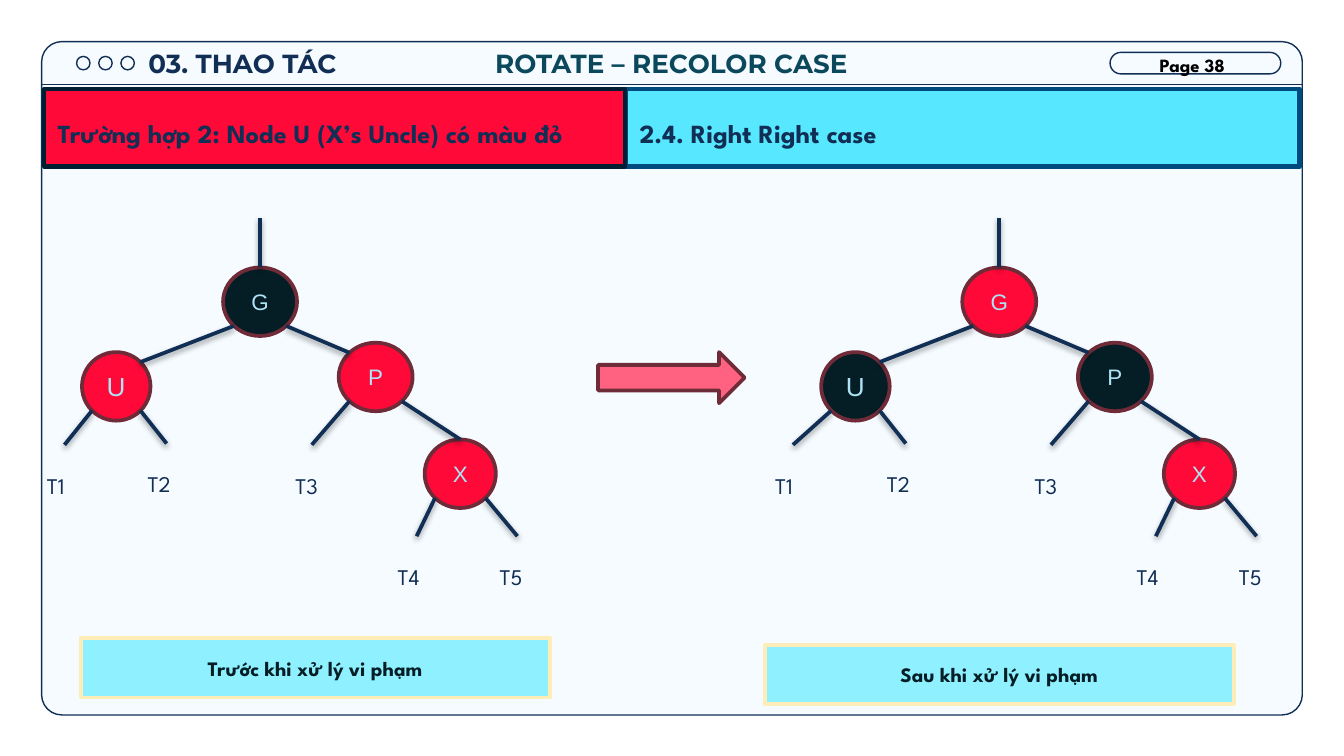
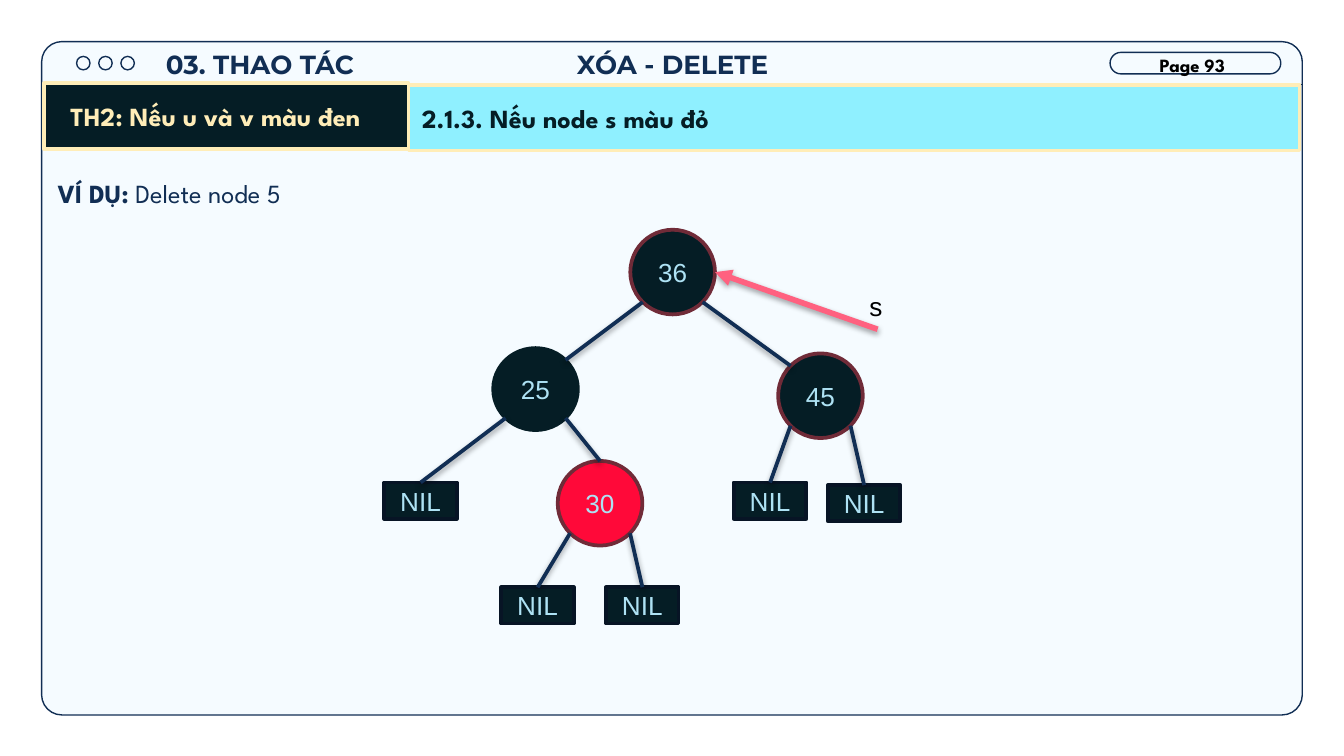
import lxml.etree
import pptx
import pptx.dml.color
import pptx.enum.shapes
import pptx.enum.text
import pptx.oxml.ns
import pptx.util

Inches = pptx.util.Inches
Kind = pptx.enum.shapes.MSO_SHAPE
Align = pptx.enum.text.PP_ALIGN
Anchor = pptx.enum.text.MSO_ANCHOR
qn = pptx.oxml.ns.qn


class Theme:
    navy, teal, ink, night = "112E54", "0C485C", "051D25", "071425"
    paper, black, ice, cream = "F5FBFF", "000000", "AEE2F4", "FFEDB8"
    red, pink, wine = "FF0939", "FF6180", "702B38"
    cyan, sky, blue, deep = "57E8FF", "8FF0FF", "004B7D", "001E32"
    head, body, mark = "Montserrat", "League Spartan", "Arial"
    big, mid, note, small = 14, 12, 11, 10


def box(slide, kind, at, text="", fill=None, edge=None, width=2, size=Theme.big,
        font=Theme.body, color=Theme.navy, bold=False, align=Align.CENTER,
        anchor=Anchor.MIDDLE, pad=0.05, right=0.1, space=1.0):
    """Add a shape, a text box (kind None) or the title, with one paragraph."""
    spot = [Inches(v) for v in at]
    if kind == "title":
        shape = slide.shapes.title
        shape.left, shape.top, shape.width, shape.height = spot
        slide.shapes._spTree.append(shape._element)
    elif kind is None:
        shape = slide.shapes.add_textbox(*spot)
    else:
        shape = slide.shapes.add_shape(kind, *spot)
        shape.shadow.inherit = False
        if fill:
            shape.fill.solid()
            shape.fill.fore_color.rgb = pptx.dml.color.RGBColor.from_string(fill)
        else:
            shape.fill.background()
        shape.line.color.rgb = pptx.dml.color.RGBColor.from_string(edge)
        shape.line.width = pptx.util.Pt(width)
    if text:
        frame = shape.text_frame
        frame.word_wrap = True
        frame.auto_size = pptx.enum.text.MSO_AUTO_SIZE.NONE
        frame.vertical_anchor = anchor
        frame.margin_left, frame.margin_right = Inches(0.1), Inches(right)
        frame.margin_top = frame.margin_bottom = Inches(pad)
        para = frame.paragraphs[0]
        para.alignment = align
        para.line_spacing = space
        para.space_before = pptx.util.Pt(0)
        para.add_run().text = text
        para.font.name, para.font.bold = font, bold
        para.font.size = pptx.util.Pt(size)
        para.font.color.rgb = pptx.dml.color.RGBColor.from_string(color)
    return shape


def link(slide, start, end, color=Theme.navy, width=2, shade=True, head=False):
    """Draw a line; an end is (x, y) or (shape, side x, side y)."""
    spots = []
    for tip in (start, end):
        if len(tip) == 2:
            spots += [Inches(v) for v in tip]
        else:
            node, dx, dy = tip
            reach = 0.354 if dx and dy else 0.5
            spots += [int(node.left + node.width * (0.5 + reach * dx)),
                      int(node.top + node.height * (0.5 + reach * dy))]
    wire = slide.shapes.add_connector(pptx.enum.shapes.MSO_CONNECTOR.STRAIGHT, *spots)
    for tip, join in ((start, wire.begin_connect), (end, wire.end_connect)):
        if tip[1:] == (0, -1):
            join(tip[0], 0)
    wire.line.color.rgb = pptx.dml.color.RGBColor.from_string(color)
    wire.line.width = pptx.util.Pt(width)
    props = wire._element.spPr
    if head:
        lxml.etree.SubElement(props.find(qn("a:ln")), qn("a:tailEnd"), type="triangle")
    effect = lxml.etree.SubElement(props, qn("a:effectLst"))
    if shade:
        blur = lxml.etree.SubElement(effect, qn("a:outerShdw"), blurRad="40000",
                                     dist="20000", dir="5400000", rotWithShape="0")
        tint = lxml.etree.SubElement(blur, qn("a:srgbClr"), val=Theme.black)
        lxml.etree.SubElement(tint, qn("a:alpha"), val="38000")


# Widescreen 16:9
deck = pptx.Presentation()
deck.slide_width = Inches(10)
deck.slide_height = Inches(10) * 9 // 16

# Shared window frame, section title, topic and page number
pages = [
    ("Page 38", (0.97, 0.25, 1.67, 0.46), "ROTATE – RECOLOR CASE",
     (2.95, 0.31, 4.09, 0.32), Theme.teal),
    ("Page 93", (1.07, 0.26, 1.73, 0.46), "XÓA - DELETE",
     (0.79, 0.28, 8.43, 0.39), Theme.navy),
]
slides = []
for page, place, topic, where, tone in pages:
    slide = deck.slides.add_slide(deck.slide_layouts[5])
    slides.append(slide)
    panel = box(slide, Kind.ROUNDED_RECTANGLE, (0.31, 0.31, 9.38, 5.01),
                fill=Theme.paper, edge=Theme.navy, width=0.75)
    panel.adjustments[0] = 0.03
    for i in range(3):
        box(slide, Kind.OVAL, (0.57 + 0.165 * i, 0.42, 0.1, 0.1),
            edge=Theme.navy, width=0.75)
    pill = box(slide, Kind.ROUNDED_RECTANGLE, (8.26, 0.39, 1.27, 0.16),
               edge=Theme.navy, width=0.75)
    pill.adjustments[0] = 0.5
    link(slide, (0.31, 0.63), (9.69, 0.63), width=0.75, shade=False)
    box(slide, "title", place, "03. THAO TÁC", font=Theme.head, bold=True,
        anchor=Anchor.TOP, pad=0.1)
    box(slide, None, where, topic, font=Theme.head, color=tone, bold=True)
    box(slide, None, (8.53, 0.35, 0.75, 0.27), page, size=Theme.small,
        color=Theme.black, bold=True, align=Align.LEFT, anchor=Anchor.TOP)

first, second = slides
left = dict(align=Align.LEFT, anchor=Anchor.TOP, pad=0.1, space=1.5)

# Slide 1: case bands
for at, text, fill, edge in [
    ((4.66, 0.66, 5.01, 0.58), "2.4. Right Right case", Theme.cyan, Theme.blue),
    ((0.33, 0.66, 4.32, 0.58), "Trường hợp 2: Node U (X’s Uncle) có màu đỏ",
     Theme.red, Theme.deep),
]:
    box(first, Kind.RECTANGLE, at, text, fill, edge, 2.25, bold=True, **left)

# Slide 1: trees before and after, with the arrow between them
spots = {"U": (0.61, 2.62, 0.51, 0.51), "G": (1.66, 1.99, 0.55, 0.51),
         "P": (2.52, 2.55, 0.55, 0.51), "X": (3.16, 3.27, 0.53, 0.51)}
for shift, leaf, reds in [(0, 0.48, "UPX"), (5.5, 5.9, "GX")]:
    nodes = {}
    for name, (x, y, w, h) in spots.items():
        nodes[name] = box(first, Kind.FLOWCHART_CONNECTOR, (x + shift, y, w, h), name,
                          Theme.red if name in reds else Theme.ink, Theme.wine,
                          size=Theme.big if name == "U" else Theme.mid,
                          font=Theme.mark, color=Theme.ice)
    u, g, p, x = (nodes[name] for name in "UGPX")
    link(first, (g, 0, -1), (g.left.inches + g.width.inches / 2, 1.62))
    link(first, (g, -1, 1), (u, 1, -1))
    link(first, (g, 1, 1), (p, -1, -1))
    link(first, (p, 1, 1), (x, 0, -1))
    for node, side, label, end, low, gap in [
        (u, -1, "T1", leaf, 3.31, 0.23), (u, 1, "T2", 1.24 + shift, 3.3, 0.24),
        (p, -1, "T3", 2.32 + shift, 3.31, 0.22), (x, -1, "T4", 3.1 + shift, 3.99, 0.24),
        (x, 1, "T5", 3.85 + shift, 3.99, 0.23),
    ]:
        link(first, (node, side, 1), (end, low))
        box(first, None, (end - gap, low, 0.47, 0.44), label, size=Theme.mid, **left)
box(first, Kind.RIGHT_ARROW, (4.45, 2.62, 1.09, 0.38), fill=Theme.pink, edge=Theme.wine)

# Slide 1: captions
for x, y, text in [(5.69, 4.8, "Sau khi xử lý vi phạm"),
                   (0.6, 4.75, "Trước khi xử lý vi phạm")]:
    box(first, Kind.RECTANGLE, (x, y, 3.49, 0.44), text, Theme.sky, Theme.cream,
        size=Theme.note, color=Theme.ink, bold=True)

# Slide 2: case bands and example
box(second, Kind.RECTANGLE, (0.33, 0.62, 2.71, 0.49), "TH2: Nếu u và v màu đen",
    Theme.ink, Theme.cream, color=Theme.cream, bold=True, right=0.26)
box(second, Kind.RECTANGLE, (3.04, 0.63, 6.63, 0.49), "2.1.3. Nếu node s màu đỏ",
    Theme.sky, Theme.cream, color=Theme.ink, bold=True, align=Align.LEFT)
task = box(second, None, (0.33, 1.1, 9.06, 0.54), "VÍ DỤ:", **left)
para = task.text_frame.paragraphs[0]
para.runs[0].font.bold = True
para.add_run().text = " Delete node 5"

# Slide 2: tree nodes
nodes = {}
for name, x, y, h, fill, edge in [
    ("25", 3.67, 2.59, 0.61, Theme.ink, Theme.ink),
    ("30", 4.15, 3.43, 0.63, Theme.red, Theme.wine),
    ("36", 4.69, 1.71, 0.63, Theme.ink, Theme.wine),
    ("45", 5.79, 2.63, 0.63, Theme.ink, Theme.wine),
]:
    nodes[name] = box(second, Kind.FLOWCHART_CONNECTOR, (x, y, 0.63, h), name, fill,
                      edge, font=Theme.mark, color=Theme.ice)

# Slide 2: branches and NIL leaves
link(second, (nodes["36"], -1, 1), (nodes["25"], 1, -1))
link(second, (nodes["36"], 1, 1), (nodes["45"], -1, -1))
link(second, (nodes["25"], 1, 1), (nodes["30"], 0, -1))
for name, side, x, y in [("25", -1, 2.86, 3.59), ("30", -1, 3.73, 4.37),
                         ("30", 1, 4.51, 4.37), ("45", -1, 5.46, 3.59),
                         ("45", 1, 6.16, 3.61)]:
    leaf = box(second, Kind.RECTANGLE, (x, y, 0.54, 0.27), "NIL", Theme.ink,
               Theme.night, font=Theme.mark, color=Theme.ice)
    link(second, (nodes[name], side, 1), (leaf, 0, -1))

# Slide 2: pointer to s
link(second, (6.53, 2.45), (nodes["36"], 1, 0), Theme.pink, 3, head=True)
box(second, None, (6.37, 2.11, 0.31, 0.34), "s", font=Theme.mark, color=Theme.black,
    align=Align.LEFT, anchor=Anchor.TOP)

deck.save("out.pptx")
